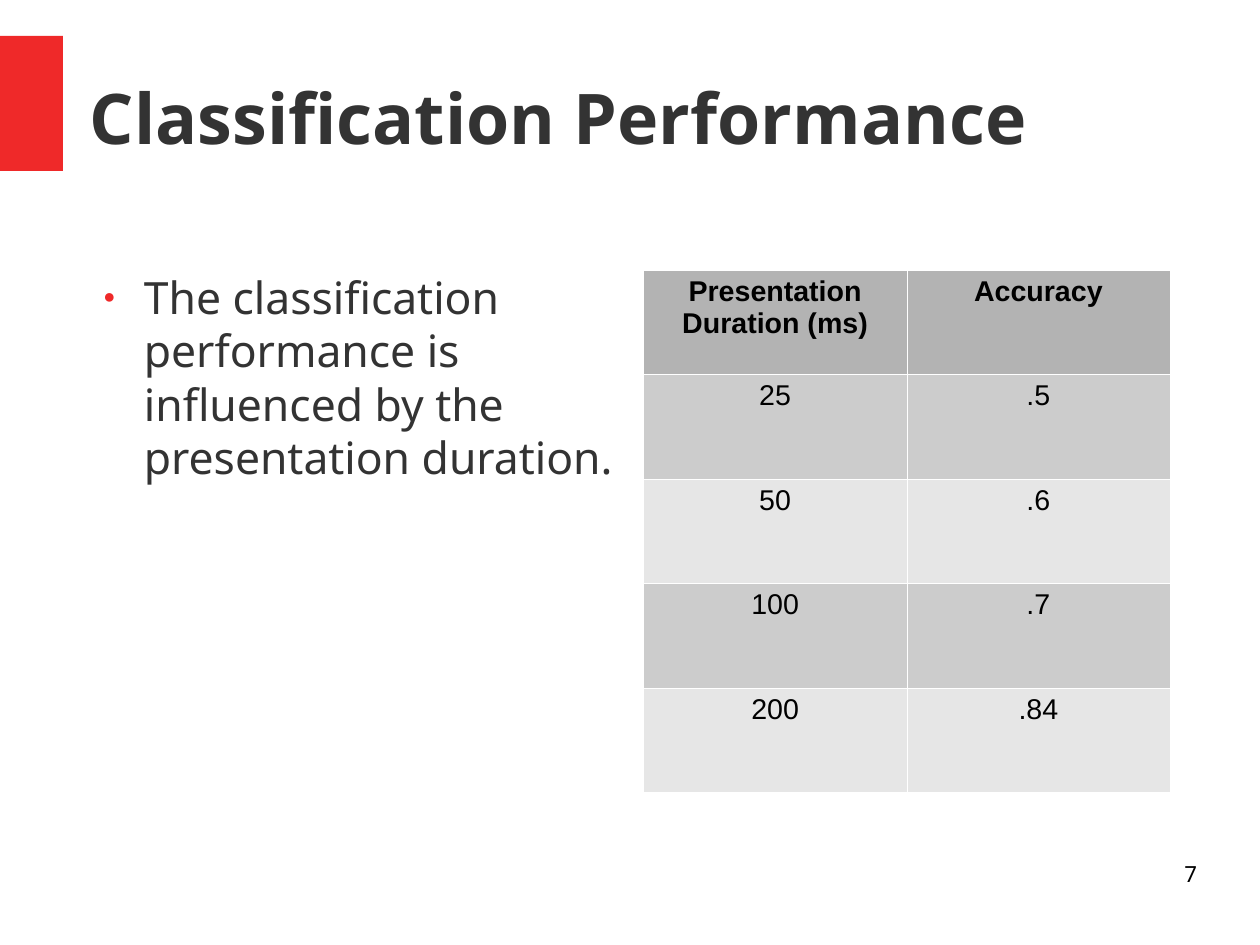
"""Build the slide on classification performance by presentation duration."""
from dataclasses import dataclass
from typing import Any

import lxml.etree
import pptx
import pptx.dml.color
import pptx.enum.shapes
import pptx.enum.text
import pptx.oxml.ns
import pptx.util

EMU_PER_PX = 9000
ALIGN = pptx.enum.text.PP_ALIGN
ANCHOR = pptx.enum.text.MSO_ANCHOR


@dataclass(frozen=True)
class Theme:
    accent: str = "EF2929"
    heading: str = "333333"
    ink: str = "000000"
    rule: str = "FFFFFF"
    header_fill: str = "B3B3B3"
    band_fills: tuple[str, str] = ("CCCCCC", "E6E6E6")
    text_font: str = "Noto Sans"
    table_font: str = "Arial"
    title_size: int = 44
    body_size: int = 28
    table_size: int = 18
    number_size: int = 14


@dataclass(frozen=True)
class Box:
    left: int
    top: int
    width: int
    height: int

    def emu(self) -> tuple[pptx.util.Emu, ...]:
        return tuple(px(v) for v in (self.left, self.top, self.width, self.height))


@dataclass(frozen=True)
class TextBlock:
    box: Box
    text: str
    size: int
    color: str
    bold: bool = False
    align: Any = ALIGN.LEFT
    anchor: Any = ANCHOR.TOP


THEME = Theme()
ACCENT_BAR = Box(0, 32, 56, 120)
TITLE = TextBlock(Box(80, 34, 984, 140), "Classification Performance",
                  THEME.title_size, THEME.heading, bold=True, anchor=ANCHOR.MIDDLE)
FINDING = TextBlock(
    Box(80, 240, 468, 488),
    "The classification performance is influenced by the presentation duration.",
    THEME.body_size, THEME.heading)
PAGE_NUMBER = TextBlock(Box(803, 765, 261, 58), "7", THEME.number_size,
                        THEME.ink, align=ALIGN.RIGHT)
RESULTS_BOX = Box(572, 240, 468, 464)
RESULTS = (
    ("Presentation Duration (ms)", "Accuracy"),
    ("25", ".5"),
    ("50", ".6"),
    ("100", ".7"),
    ("200", ".84"),
)


def px(value: int) -> pptx.util.Emu:
    return pptx.util.Emu(value * EMU_PER_PX)


def rgb(color: str) -> pptx.dml.color.RGBColor:
    return pptx.dml.color.RGBColor.from_string(color)


def apply(target: Any, formats: dict[str, Any]) -> None:
    for name, value in formats.items():
        setattr(target, name, value)


def add_xml(parent: Any, tag: str, **attributes: str) -> Any:
    return lxml.etree.SubElement(parent, pptx.oxml.ns.qn(tag), attributes)


def write(paragraph: Any, text: str, font: str, size: int, color: str,
          bold: bool, align: Any) -> None:
    paragraph.alignment = align
    run = paragraph.add_run()
    run.text = text
    apply(run.font, {"name": font, "size": pptx.util.Pt(size), "bold": bold})
    run.font.color.rgb = rgb(color)


def add_text(slide: Any, block: TextBlock) -> Any:
    frame = slide.shapes.add_textbox(*block.box.emu()).text_frame
    apply(frame, {"word_wrap": True, "vertical_anchor": block.anchor,
                  "margin_left": 0, "margin_top": 0,
                  "margin_right": 0, "margin_bottom": 0})
    paragraph = frame.paragraphs[0]
    write(paragraph, block.text, THEME.text_font, block.size, block.color,
          block.bold, block.align)
    return paragraph


def add_bullet(paragraph: Any) -> None:
    paragraph.space_after = pptx.util.Pt(14.1)
    properties = paragraph._p.get_or_add_pPr()
    properties.set("marL", str(px(48)))
    properties.set("indent", str(px(-36)))
    add_xml(add_xml(properties, "a:buClr"), "a:srgbClr", val=THEME.accent)
    add_xml(properties, "a:buSzPct", val="45000")
    add_xml(properties, "a:buFont", typeface=THEME.table_font)
    add_xml(properties, "a:buChar", char="●")


def add_borders(cell: Any) -> None:
    properties = cell._tc.get_or_add_tcPr()
    for side in ("a:lnL", "a:lnR", "a:lnT", "a:lnB"):
        line = add_xml(properties, side, w="720")
        add_xml(add_xml(line, "a:solidFill"), "a:srgbClr", val=THEME.rule)


def add_accent_bar(slide: Any) -> None:
    bar = slide.shapes.add_shape(pptx.enum.shapes.MSO_SHAPE.RECTANGLE, *ACCENT_BAR.emu())
    bar.shadow.inherit = False
    bar.fill.solid()
    bar.fill.fore_color.rgb = rgb(THEME.accent)
    bar.line.fill.background()


def add_results(slide: Any) -> None:
    table = slide.shapes.add_table(len(RESULTS), len(RESULTS[0]),
                                   *RESULTS_BOX.emu()).table
    for row, values in enumerate(RESULTS):
        is_header = row == 0
        fill = THEME.header_fill if is_header else THEME.band_fills[(row - 1) % 2]
        for column, value in enumerate(values):
            cell = table.cell(row, column)
            apply(cell, {"margin_left": px(10), "margin_right": px(10),
                         "margin_top": px(5), "margin_bottom": px(5)})
            add_borders(cell)
            cell.fill.solid()
            cell.fill.fore_color.rgb = rgb(fill)
            write(cell.text_frame.paragraphs[0], value, THEME.table_font,
                  THEME.table_size, THEME.ink, is_header, ALIGN.CENTER)


def main() -> None:
    deck = pptx.Presentation()
    deck.slide_width = px(1120)
    deck.slide_height = px(840)
    slide = deck.slides.add_slide(deck.slide_layouts[6])
    add_accent_bar(slide)
    add_text(slide, TITLE)
    add_bullet(add_text(slide, FINDING))
    add_results(slide)
    add_text(slide, PAGE_NUMBER)
    deck.save("out.pptx")


if __name__ == "__main__":
    main()
